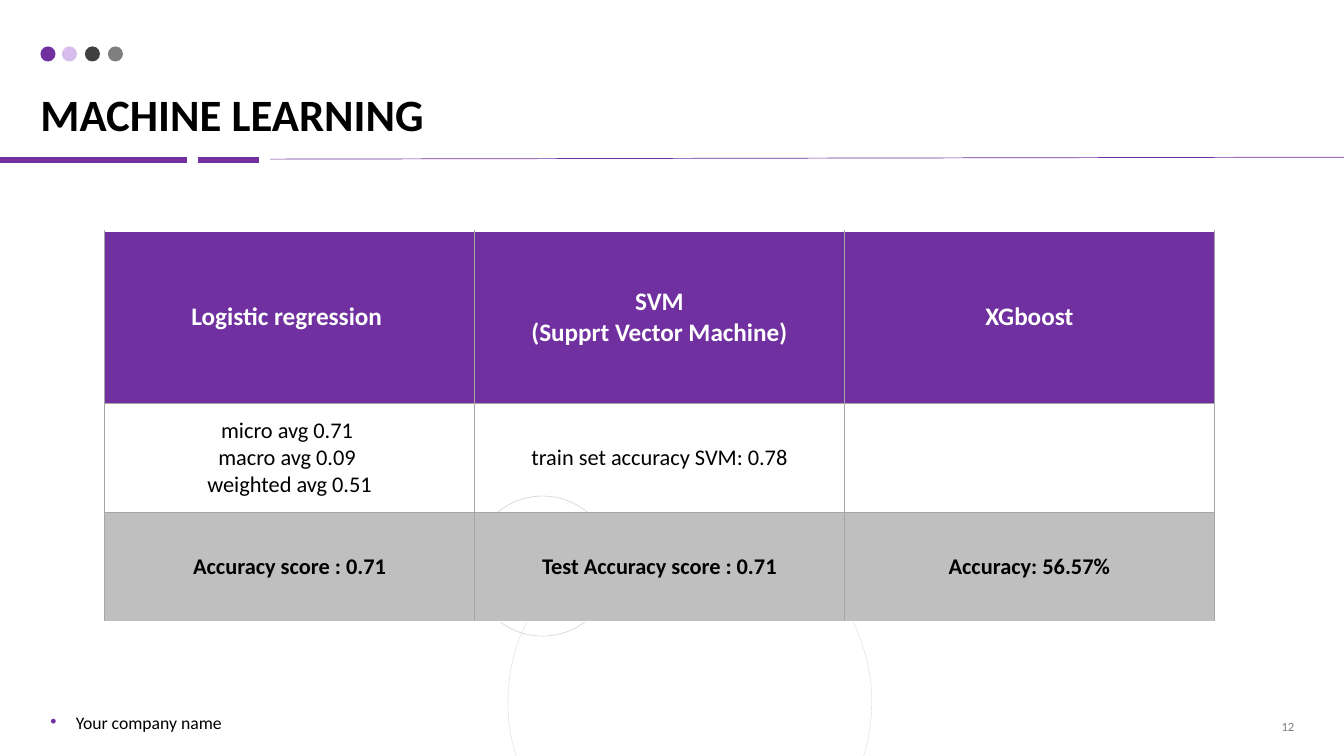
"""Build the machine learning results slide."""
from lxml import etree
from pptx import Presentation
from pptx.dml.color import RGBColor
from pptx.enum.shapes import MSO_CONNECTOR, MSO_SHAPE
from pptx.enum.text import MSO_ANCHOR, PP_ALIGN
from pptx.oxml.ns import qn
from pptx.util import Cm, Pt

LEFT, CENTER, RIGHT = PP_ALIGN.LEFT, PP_ALIGN.CENTER, PP_ALIGN.RIGHT
TOP, MIDDLE, BOTTOM = MSO_ANCHOR.TOP, MSO_ANCHOR.MIDDLE, MSO_ANCHOR.BOTTOM
OVAL, STRAIGHT = MSO_SHAPE.OVAL, MSO_CONNECTOR.STRAIGHT

FONT = "Calibri"
COLORS = {
    "purple": "7030A0",
    "lilac": "C7A2E3",
    "charcoal": "404040",
    "gray": "7F7F7F",
    "border": "A6A6A6",
    "silver": "BFBFBF",
    "pale": "D9D9D9",
    "black": "000000",
    "white": "FFFFFF",
}
RULES = [
    (0, 4.04, 4.7, 4.04, 4.5),
    (5, 4.04, 6.53, 4.04, 4.5),
    (6.81, 4.01, 33.87, 3.96, 0.5),
]
DOTS = [(1.02, "purple"), (1.56, "lilac"), (2.14, "charcoal"), (2.72, "gray")]
RINGS = [(12.8, 13.11, 9.17, "pale"), (11.91, 12.5, 3.53, "silver")]
COLUMN_WIDTH = 9.32
ROWS = [
    {
        "height": 4.34, "fill": "purple",
        "format": {"size": 18, "color": "white", "bold": True},
        "texts": ["Logistic regression ", "SVM\n(Supprt Vector Machine)", "XGboost"],
    },
    {
        "height": 2.75, "fill": None,
        "format": {"size": 16},
        "texts": [
            "micro avg 0.71 \nmacro avg 0.09 \nweighted avg 0.51",
            "train set accuracy SVM: 0.78",
            "",
        ],
    },
    {
        "height": 2.75, "fill": "silver",
        "format": {"size": 16, "bold": True},
        "texts": [
            "Accuracy score : 0.71",
            "Test Accuracy score : 0.71",
            "Accuracy: 56.57%",
        ],
    },
]


def rgb(name):
    """Return the named colour."""
    return RGBColor.from_string(COLORS[name])


def add_color(parent, tag, name):
    """Append a colour element of the given tag to an XML parent."""
    holder = etree.SubElement(parent, qn(tag))
    etree.SubElement(holder, qn("a:srgbClr"), val=COLORS[name])


def write_text(frame, text, size=16, color="black", bold=False, align=LEFT, spacing=None):
    """Write one paragraph per line of text with a shared format."""
    for index, line in enumerate(text.split("\n")):
        paragraph = frame.add_paragraph() if index else frame.paragraphs[0]
        paragraph.alignment = align
        if spacing:
            paragraph.line_spacing = spacing
        run = paragraph.add_run()
        run.text = line
        run.font.name = FONT
        run.font.size = Pt(size)
        run.font.bold = bold
        run.font.color.rgb = rgb(color)


def add_text(slide, left, top, width, height, text, anchor=TOP, inset=True, **text_format):
    """Add a wrapping text box and return its text frame."""
    box = slide.shapes.add_textbox(Cm(left), Cm(top), Cm(width), Cm(height))
    frame = box.text_frame
    frame.word_wrap = True
    frame.vertical_anchor = anchor
    if not inset:
        frame.margin_left = frame.margin_right = 0
        frame.margin_top = frame.margin_bottom = 0
    write_text(frame, text, **text_format)
    return frame


def add_bullet(paragraph, color):
    """Give a paragraph a coloured bullet with a hanging indent."""
    properties = paragraph._p.get_or_add_pPr()
    indent = Cm(0.64)
    properties.set("marL", str(indent))
    properties.set("indent", str(-indent))
    add_color(properties, "a:buClr", color)
    etree.SubElement(properties, qn("a:buFont"), typeface="Arial")
    etree.SubElement(properties, qn("a:buChar"), char="•")


def add_rule(slide, start_x, start_y, end_x, end_y, weight):
    """Add a purple line without a shadow."""
    rule = slide.shapes.add_connector(
        STRAIGHT, Cm(start_x), Cm(start_y), Cm(end_x), Cm(end_y))
    rule.line.color.rgb = rgb("purple")
    rule.line.width = Pt(weight)
    etree.SubElement(rule._element.spPr, qn("a:effectLst"))


def add_circle(slide, left, top, diameter, fill=None, line=None):
    """Add a circle with an optional fill and thin outline."""
    circle = slide.shapes.add_shape(OVAL, Cm(left), Cm(top), Cm(diameter), Cm(diameter))
    circle.shadow.inherit = False
    if fill:
        circle.fill.solid()
        circle.fill.fore_color.rgb = rgb(fill)
    else:
        circle.fill.background()
    if line:
        circle.line.color.rgb = rgb(line)
        circle.line.width = Pt(0.25)
    else:
        circle.line.fill.background()
    return circle


def set_opacity(shape, percent):
    """Make the solid fill of a shape partly transparent."""
    color = shape._element.spPr.find(qn("a:solidFill"))[0]
    etree.SubElement(color, qn("a:alpha"), val=str(percent * 1000))


def set_borders(cell, is_first, is_last):
    """Draw gray cell borders, with white at the table top and bottom."""
    properties = cell._tc.get_or_add_tcPr()
    white_edges = {"T": is_first, "B": is_last}
    for edge in "LRTB":
        is_white = white_edges.get(edge, False)
        width = Pt(1 if is_white else 0.5)
        border = etree.SubElement(properties, qn(f"a:ln{edge}"), w=str(width))
        add_color(border, "a:solidFill", "white" if is_white else "border")


def add_results_table(slide):
    """Add the table that compares the models."""
    column_count = len(ROWS[0]["texts"])
    height = sum(row["height"] for row in ROWS)
    table = slide.shapes.add_table(
        len(ROWS), column_count, Cm(2.64), Cm(5.82),
        Cm(COLUMN_WIDTH * column_count), Cm(height)).table
    table.first_row = table.horz_banding = False
    for column in table.columns:
        column.width = Cm(COLUMN_WIDTH)
    for row_index, row in enumerate(ROWS):
        table.rows[row_index].height = Cm(row["height"])
        for column_index, text in enumerate(row["texts"]):
            cell = table.cell(row_index, column_index)
            cell.vertical_anchor = MIDDLE
            set_borders(cell, row_index == 0, row_index == len(ROWS) - 1)
            if row["fill"]:
                cell.fill.solid()
                cell.fill.fore_color.rgb = rgb(row["fill"])
            else:
                cell.fill.background()
            if text:
                write_text(cell.text_frame, text, align=CENTER, **row["format"])


def main():
    """Build and save the slide."""
    presentation = Presentation()
    presentation.slide_width, presentation.slide_height = Cm(33.87), Cm(19.05)
    slide = presentation.slides.add_slide(presentation.slide_layouts[6])
    for rule in RULES:
        add_rule(slide, *rule)
    for left, color in DOTS:
        dot = add_circle(slide, left, 1.17, 0.38, fill=color)
        if color == "lilac":
            set_opacity(dot, 70)
    for left, top, diameter, color in RINGS:
        add_circle(slide, left, top, diameter, line=color)
    add_text(slide, 1.02, 0.69, 31.85, 2.87, "MACHINE LEARNING", anchor=BOTTOM,
             inset=False, size=32, bold=True, spacing=0.9)
    add_results_table(slide)
    company = add_text(slide, 1.02, 17.96, 6.27, 0.69, "Your company name",
                       size=12.6, spacing=0.7)
    add_bullet(company.paragraphs[0], "purple")
    add_text(slide, 25.25, 17.96, 7.62, 0.69, "12", anchor=MIDDLE,
             size=9, color="gray", align=RIGHT)
    presentation.save("out.pptx")


if __name__ == "__main__":
    main()
